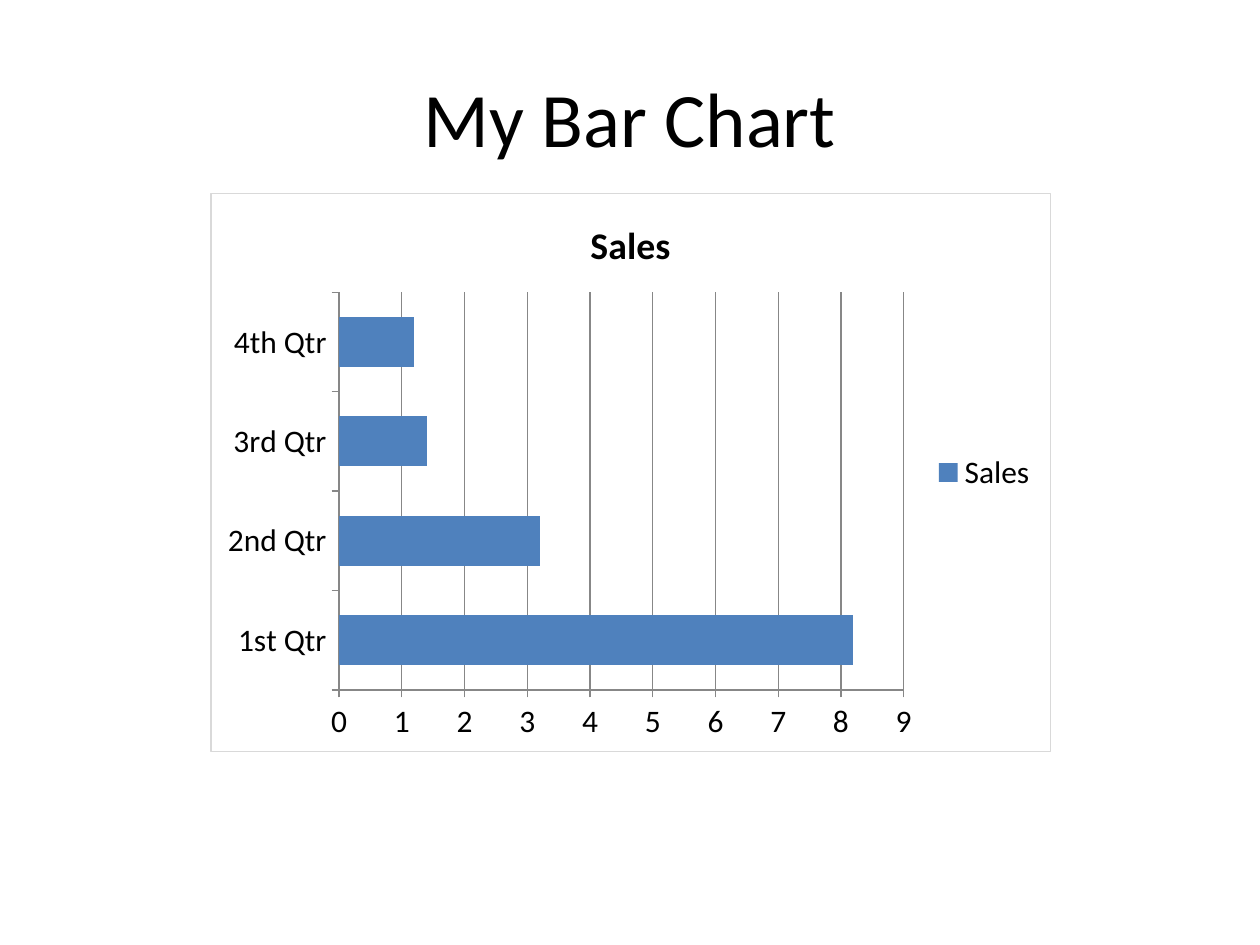
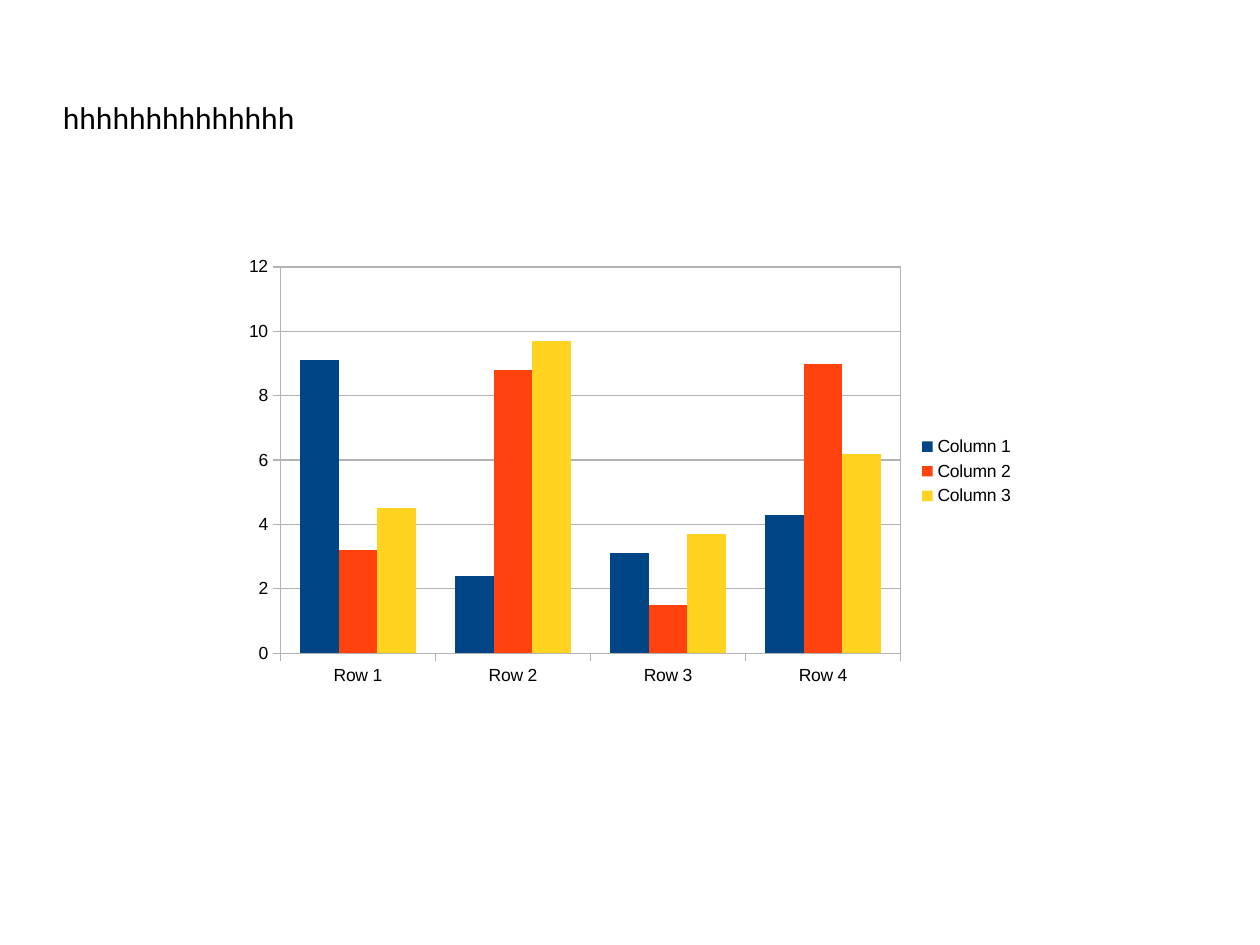
import pptx
import pptx.chart.data
import pptx.dml.color
import pptx.enum.chart
import pptx.enum.text
import pptx.oxml
import pptx.oxml.ns
import pptx.util
from pptx.util import Inches

COLORS = {
    "text": "000000",
    "sales": "4F81BD",
    "sales_axis": "878787",
    "frame": "D9D9D9",
    "column_1": "004586",
    "column_2": "FF420E",
    "column_3": "FFD320",
    "column_axis": "B3B3B3",
}
TITLE_FONT = "Calibri"


def rgb(name):
    return pptx.dml.color.RGBColor.from_string(COLORS[name])


def style_font(font, family, size, bold=False):
    font.name = family
    font.size = pptx.util.Pt(size)
    font.bold = bold
    font.color.rgb = rgb("text")


def style_line(line, color, width):
    line.color.rgb = rgb(color)
    line.width = pptx.util.Pt(width)


def outline(color, width):
    return pptx.oxml.parse_xml(
        f'<c:spPr {pptx.oxml.ns.nsdecls("c", "a")}><a:noFill/>'
        f'<a:ln w="{pptx.util.Pt(width)}"><a:solidFill>'
        f'<a:srgbClr val="{COLORS[color]}"/></a:solidFill></a:ln></c:spPr>'
    )


def add_title(slide, text, size, align):
    title = slide.shapes.add_textbox(Inches(0.5), Inches(0.3), Inches(9), Inches(1.25))
    frame = title.text_frame
    frame.word_wrap = True
    frame.vertical_anchor = pptx.enum.text.MSO_ANCHOR.MIDDLE
    frame.margin_left = frame.margin_right = frame.margin_top = frame.margin_bottom = 0
    frame.text = text
    frame.paragraphs[0].alignment = align
    style_font(frame.paragraphs[0].runs[0].font, TITLE_FONT, size)


def add_bars(slide, kind, box, categories, series, family, size, axis_color, axis_width):
    data = pptx.chart.data.CategoryChartData()
    data.categories = categories
    for name, values, _ in series:
        data.add_series(name, values)
    chart = slide.shapes.add_chart(kind, *map(Inches, box), data).chart
    style_font(chart.font, family, size)
    chart.has_title = False

    bars = chart.plots[0]
    bars.gap_width = 100
    bars.vary_by_categories = False
    for bar, (_, _, color) in zip(bars.series, series):
        bar.format.fill.solid()
        bar.format.fill.fore_color.rgb = rgb(color)

    for axis in (chart.category_axis, chart.value_axis):
        axis.major_tick_mark = pptx.enum.chart.XL_TICK_MARK.OUTSIDE
        axis.minor_tick_mark = pptx.enum.chart.XL_TICK_MARK.NONE
        style_font(axis.tick_labels.font, family, size)
        style_line(axis.format.line, axis_color, axis_width)
    chart.value_axis.has_major_gridlines = True
    style_line(chart.value_axis.major_gridlines.format.line, axis_color, axis_width)

    chart.has_legend = True
    chart.legend.position = pptx.enum.chart.XL_LEGEND_POSITION.RIGHT
    chart.legend.include_in_layout = False
    style_font(chart.legend.font, family, size)
    return chart


def add_chart_title(chart, text, family, size):
    chart.has_title = True
    heading = chart.chart_title
    heading.include_in_layout = False
    heading.text_frame.text = text
    style_font(heading.text_frame.paragraphs[0].runs[0].font, family, size, bold=True)


def build_sales(slide):
    add_title(slide, "My Bar Chart", 44, pptx.enum.text.PP_ALIGN.CENTER)
    sales = add_bars(
        slide,
        pptx.enum.chart.XL_CHART_TYPE.BAR_CLUSTERED,
        (1.67, 1.53, 6.67, 4.44),
        ["1st Qtr", "2nd Qtr", "3rd Qtr", "4th Qtr"],
        [("Sales", (8.2, 3.2, 1.4, 1.2), "sales")],
        "Calibri", 18, "sales_axis", 0.75,
    )
    add_chart_title(sales, "Sales", "Calibri", 21.6)
    sales.element.find(pptx.oxml.ns.qn("c:chart")).addnext(outline("frame", 0.75))


def build_columns(slide):
    add_title(slide, "hhhhhhhhhhhhhh", 18, pptx.enum.text.PP_ALIGN.LEFT)
    columns = add_bars(
        slide,
        pptx.enum.chart.XL_CHART_TYPE.COLUMN_CLUSTERED,
        (1.85, 1.97, 6.3, 3.54),
        [f"Row {number}" for number in range(1, 5)],
        [
            ("Column 1", (9.1, 2.4, 3.1, 4.3), "column_1"),
            ("Column 2", (3.2, 8.8, 1.5, 9), "column_2"),
            ("Column 3", (4.5, 9.7, 3.7, 6.2), "column_3"),
        ],
        "Arial", 10, "column_axis", 0,
    )
    plot_area = columns.element.find(".//" + pptx.oxml.ns.qn("c:plotArea"))
    plot_area.append(outline("column_axis", 0))


def main():
    deck = pptx.Presentation()
    deck.slide_width = Inches(10)
    deck.slide_height = Inches(7.5)
    for build in (build_sales, build_columns):
        build(deck.slides.add_slide(deck.slide_layouts[6]))
    deck.save("out.pptx")


if __name__ == "__main__":
    main()
